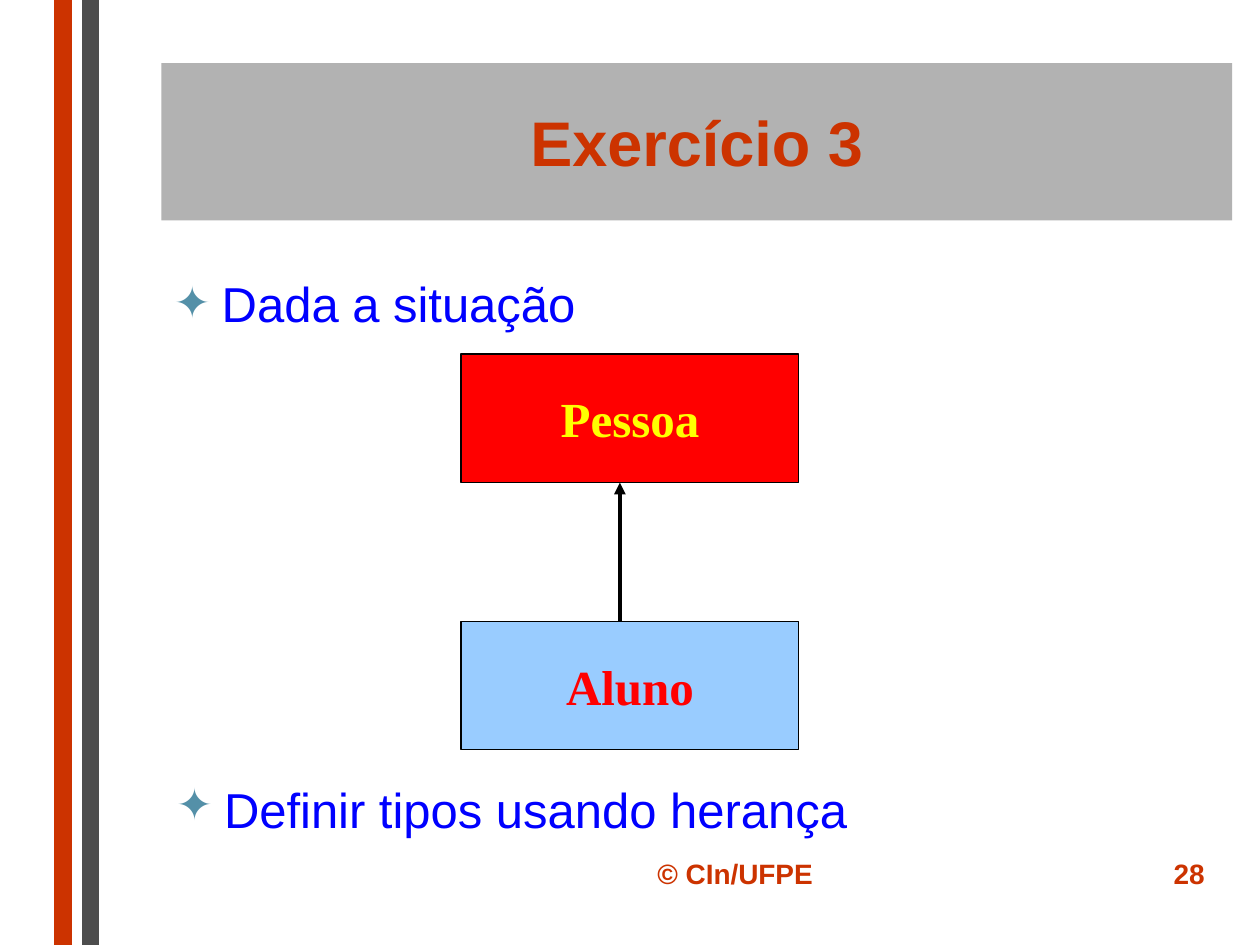
"""Build the "Exercício 3" slide: a two-class inheritance diagram between two bullets."""
from lxml.etree import SubElement
from pptx import Presentation
from pptx.dml.color import RGBColor
from pptx.enum.shapes import MSO_CONNECTOR, MSO_SHAPE
from pptx.enum.text import MSO_ANCHOR, MSO_AUTO_SIZE, PP_ALIGN
from pptx.oxml.ns import qn
from pptx.util import Inches, Pt

RUST = RGBColor(0xCC, 0x33, 0x00)
DARK_GRAY = RGBColor(0x4D, 0x4D, 0x4D)
GRAY = RGBColor(0xB2, 0xB2, 0xB2)
BLUE = RGBColor(0x00, 0x00, 0xFF)
TEAL = RGBColor(0x54, 0x90, 0xA8)
RED = RGBColor(0xFF, 0x00, 0x00)
YELLOW = RGBColor(0xFF, 0xFF, 0x00)
LIGHT_BLUE = RGBColor(0x99, 0xCC, 0xFF)
BLACK = RGBColor(0x00, 0x00, 0x00)

TITLE = ("Exercício 3", (1.28, 0.5, 8.5, 1.25))
FIRST_BULLET = ("Dada a situação", (1.28, 2.17, 8.5, 0.56))
SECOND_BULLET = ("Definir tipos usando herança", (1.3, 6.19, 8.5, 0.56))
STRIPES = [(0.5, RUST), (0.72, DARK_GRAY)]
CLASSES = [("Pessoa", 2.81, RED, YELLOW), ("Aluno", 4.93, LIGHT_BLUE, RED)]
CLASS_LEFT, CLASS_W, CLASS_H = 3.66, 2.68, 1.02
ARROW_X = 4.92
FOOTERS = [
    ("© CIn/UFPE", (4.25, 6.75, 3.17, 0.5), PP_ALIGN.CENTER),
    ("28", (7.58, 6.75, 2.08, 0.5), PP_ALIGN.RIGHT),
]


def place(sp, box):
    sp.left, sp.top, sp.width, sp.height = map(Inches, box)


def add_bullet(p):
    pPr = p._p.get_or_add_pPr()
    pPr.set("marL", str(Inches(0.38)))
    pPr.set("indent", str(-Inches(0.38)))
    color = SubElement(pPr, qn("a:buClr"))
    SubElement(color, qn("a:srgbClr"), val=str(TEAL))
    SubElement(pPr, qn("a:buSzPct"), val="90000")
    SubElement(pPr, qn("a:buChar"), char="✦")


def write(sp, text, size, color, align, font="Arial", bold=False,
          anchor=MSO_ANCHOR.TOP, bullet=False):
    tf = sp.text_frame
    tf.word_wrap = True
    tf.auto_size = MSO_AUTO_SIZE.NONE
    tf.vertical_anchor = anchor
    p = tf.paragraphs[0]
    p.alignment = align
    p.space_before = Pt(0)
    if bullet:
        p.line_spacing = 0.9
        add_bullet(p)
    r = p.add_run()
    r.text = text
    r.font.name, r.font.size, r.font.bold = font, Pt(size), bold
    r.font.color.rgb = color


def add_line(s, start, end, color, width):
    line = s.shapes.add_connector(MSO_CONNECTOR.STRAIGHT, *map(Inches, start + end))
    line.line.color.rgb = color
    line.line.width = Pt(width)
    SubElement(line._element.spPr, qn("a:effectLst"))
    return line


def add_class(s, name, top, fill, color):
    box = (CLASS_LEFT, top, CLASS_W, CLASS_H)
    sp = s.shapes.add_shape(MSO_SHAPE.RECTANGLE, *map(Inches, box))
    sp.shadow.inherit = False
    sp.fill.solid()
    sp.fill.fore_color.rgb = fill
    sp.line.color.rgb = BLACK
    sp.line.width = Pt(0.75)
    write(sp, name, 28, color, PP_ALIGN.CENTER, "Times New Roman", True, MSO_ANCHOR.MIDDLE)


def main():
    prs = Presentation()
    prs.slide_width, prs.slide_height = Inches(10), Inches(7.5)
    s = prs.slides.add_slide(prs.slide_layouts[1])

    for x, color in STRIPES:
        add_line(s, (x, 0), (x, 7.5), color, 9.75)

    text, box = TITLE
    title = s.shapes.title
    place(title, box)
    title.fill.solid()
    title.fill.fore_color.rgb = GRAY
    write(title, text, 36, RUST, PP_ALIGN.CENTER, bold=True, anchor=MSO_ANCHOR.MIDDLE)

    body = s.placeholders[1]
    second = s.shapes.add_textbox(0, 0, 0, 0)
    for sp, (text, box) in ((body, FIRST_BULLET), (second, SECOND_BULLET)):
        place(sp, box)
        write(sp, text, 28, BLUE, PP_ALIGN.JUSTIFY, bullet=True)

    for name, top, fill, color in CLASSES:
        add_class(s, name, top, fill, color)
    parent_top, child_top = (top for _, top, _, _ in CLASSES)
    arrow = add_line(s, (ARROW_X, child_top), (ARROW_X, parent_top + CLASS_H), BLACK, 2.25)
    SubElement(arrow.line._get_or_add_ln(), qn("a:tailEnd"), type="triangle")

    for text, box, align in FOOTERS:
        sp = s.shapes.add_textbox(*map(Inches, box))
        write(sp, text, 16, RUST, align, bold=True)

    prs.save("out.pptx")


if __name__ == "__main__":
    main()
